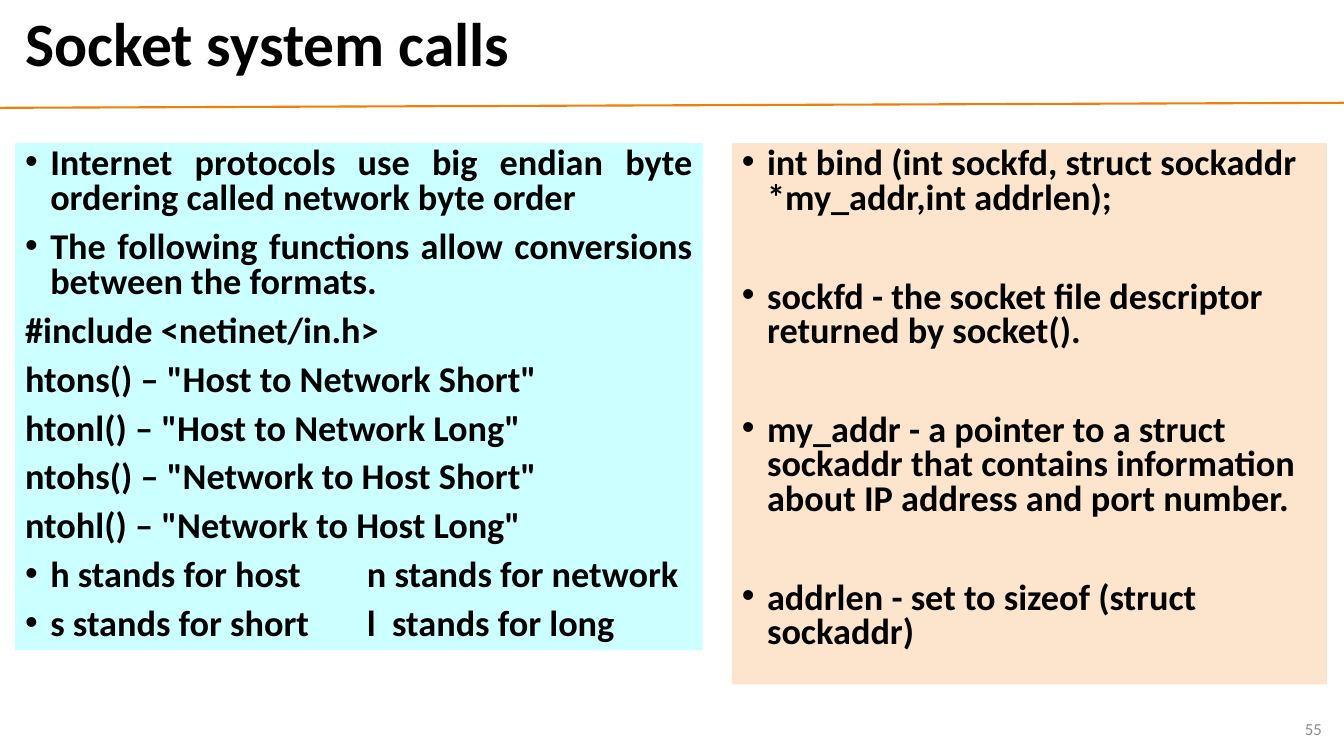
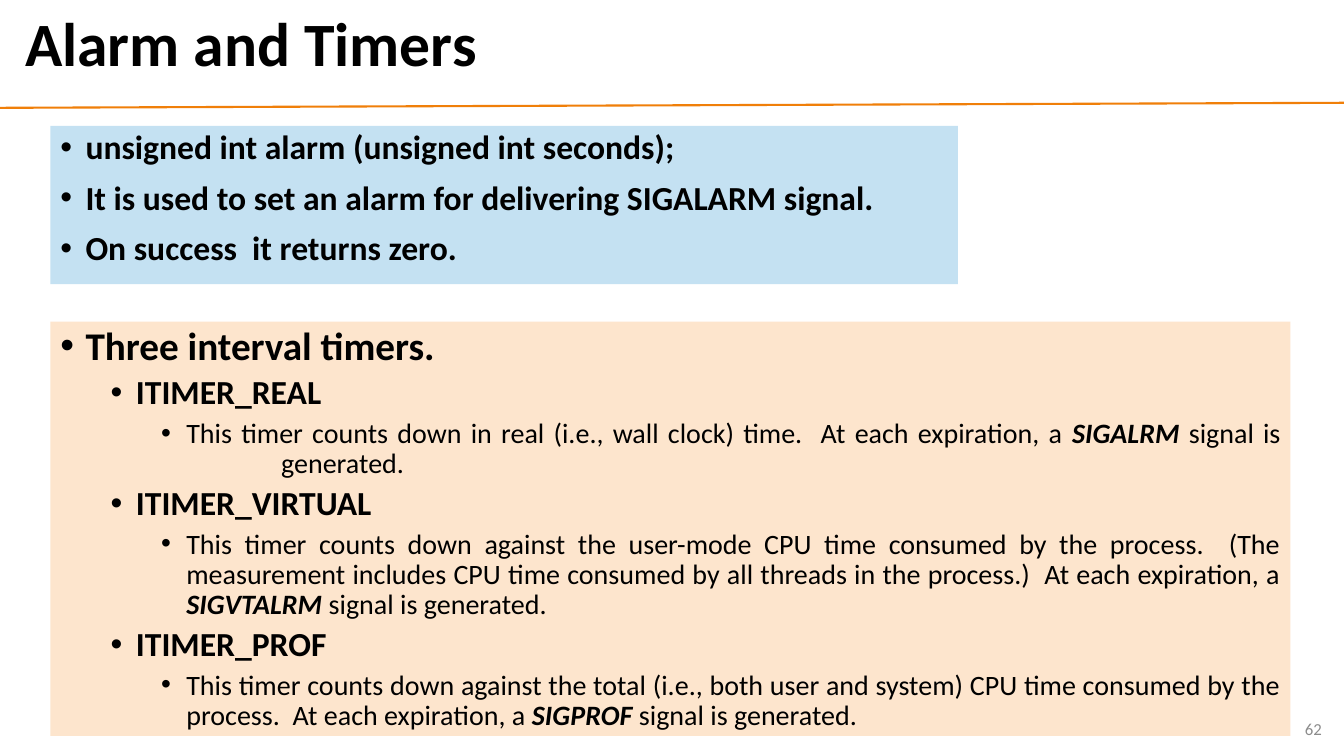
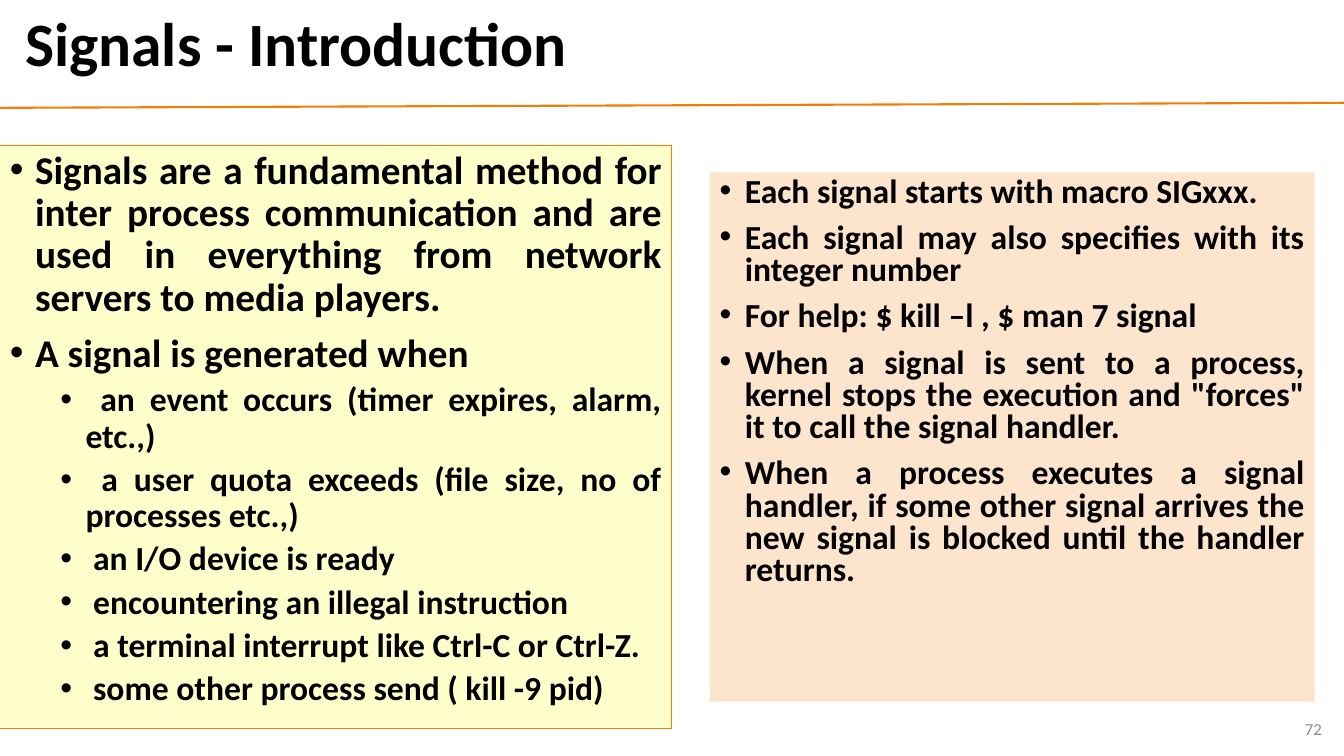
import pptx
import pptx.util
import pptx.dml.color
import pptx.enum.shapes
import pptx.enum.text
import pptx.oxml.xmlchemy

Inches, Pt = pptx.util.Inches, pptx.util.Pt
RGBColor = pptx.dml.color.RGBColor
ALIGN = pptx.enum.text.PP_ALIGN
ANCHOR = pptx.enum.text.MSO_ANCHOR

# Shared look
FONT = "Calibri"
BLACK = RGBColor(0x00, 0x00, 0x00)
GREY = RGBColor(0x8C, 0x8C, 0x8C)
ORANGE = RGBColor(0xF0, 0x7F, 0x09)
CYAN = RGBColor(0xCC, 0xFF, 0xFF)
PEACH = RGBColor(0xFD, 0xE5, 0xCD)
BLUE = RGBColor(0xC4, 0xE1, 0xF2)
YELLOW = RGBColor(0xFF, 0xFF, 0xCC)
LEVEL_SIZES = (28, 24, 20)
LEVEL_SPACE = (10, 5, 5)
PLAIN = "plain"  # top-level line without a bullet

# Content: paragraphs are (level or PLAIN, text); |...| marks bold italic words
SLIDES = [
    {"title": "Socket system calls", "number": 55, "panels": [
        {"at": (0.15, 1.42, 6.82, 5.03), "fill": CYAN, "size": 25.9, "spacing": 0.8,
         "tab": 3.39, "text": [
             (0, "Internet protocols use big endian byte ordering called network byte order"),
             (0, "The following functions allow conversions between the formats."),
             (PLAIN, "#include <netinet/in.h>"),
             (PLAIN, 'htons() – "Host to Network Short"'),
             (PLAIN, 'htonl() – "Host to Network Long"'),
             (PLAIN, 'ntohs() – "Network to Host Short"'),
             (PLAIN, 'ntohl() – "Network to Host Long"'),
             (0, "h stands for host\tn stands for network"),
             (0, "s stands for short\tl  stands for long")]},
        {"at": (7.26, 1.42, 5.9, 5.37), "fill": PEACH, "size": 25.9, "spacing": 0.8,
         "align": ALIGN.LEFT, "gap": 45.3, "text": [
             (0, "int bind (int sockfd, struct sockaddr *my_addr,int addrlen);"),
             (0, "sockfd - the socket file descriptor returned by socket()."),
             (0, "my_addr - a pointer to a struct sockaddr that contains information "
                 "about IP address and port number."),
             (0, "addrlen - set to sizeof (struct sockaddr)")]}]},
    {"title": "Alarm and Timers", "number": 62, "panels": [
        {"at": (0.5, 1.25, 9, 1.57), "fill": BLUE, "size": 24, "text": [
            (0, "unsigned int alarm (unsigned int seconds);"),
            (0, "It is used to set an alarm for delivering SIGALARM signal."),
            (0, "On success  it returns zero.")]},
        {"at": (0.5, 3.19, 12.3, 4.11), "fill": PEACH, "tab": 2.19, "text": [
            (0, "Three interval timers."),
            (1, "ITIMER_REAL"),
            (2, "This timer counts down in real (i.e., wall clock) time.  At each "
                "expiration, a |SIGALRM| signal is\v\tgenerated."),
            (1, "ITIMER_VIRTUAL"),
            (2, "This timer counts down against the user-mode CPU time consumed by the "
                "process.  (The measurement includes CPU time consumed by all threads in "
                "the process.)  At each expiration, a |SIGVTALRM| signal is generated."),
            (1, "ITIMER_PROF"),
            (2, "This timer counts down against the total (i.e., both user and system) "
                "CPU time consumed by the process.  At each expiration, a |SIGPROF |"
                "signal is generated.")]}]},
    {"title": "Signals - Introduction", "number": 72, "panels": [
        {"at": (0, 1.44, 6.66, 5.79), "fill": YELLOW, "line": ORANGE, "text": [
            (0, "Signals are a fundamental method for inter process communication and "
                "are used in everything from network servers to media players."),
            (0, "A signal is generated when"),
            (1, " an event occurs (timer expires, alarm, etc.,)"),
            (1, " a user quota exceeds (file size, no of processes etc.,)"),
            (1, " an I/O device is ready"),
            (1, " encountering an illegal instruction"),
            (1, " a terminal interrupt like Ctrl-C or Ctrl-Z."),
            (1, " some other process send ( kill -9 pid)")]},
        {"at": (7.04, 1.71, 6, 5.25), "fill": PEACH, "size": 24, "spacing": 0.8, "text": [
            (0, "Each signal starts with macro SIGxxx."),
            (0, "Each signal may also specifies with its integer number"),
            (0, "For help: $ kill –l , $ man 7 signal"),
            (0, 'When a signal is sent to a process, kernel stops the execution and '
                '"forces" it to call the signal handler.'),
            (0, "When a process executes a signal handler, if some other signal arrives "
                "the new signal is blocked until the handler returns.")]}]},
]


def place(at):
    return [Inches(v) for v in at]


def style(font, size, color=BLACK, bold=False):
    font.name, font.size, font.bold = FONT, Pt(size), bold
    font.color.rgb = color


def add_xml(parent, tag, **attrs):
    el = pptx.oxml.xmlchemy.OxmlElement(tag)
    for name, value in attrs.items():
        el.set(name, str(value))
    parent.append(el)
    return el


def add_frame(s, title, number):
    """Title, rule under it and page number."""
    line = s.shapes.add_connector(pptx.enum.shapes.MSO_CONNECTOR.STRAIGHT,
                                  *place((0, 1.07, 13.33, 1.02)))
    line.line.color.rgb, line.line.width = ORANGE, Pt(1.5)
    add_xml(line.element.spPr, "a:effectLst")

    sp = s.shapes.title
    sp.left, sp.top, sp.width, sp.height = place((0.15, 0.05, 12.89, 0.83))
    tf = sp.text_frame
    tf.text = title
    tf.auto_size = pptx.enum.text.MSO_AUTO_SIZE.NONE
    tf.vertical_anchor = ANCHOR.MIDDLE
    p = tf.paragraphs[0]
    p.alignment, p.line_spacing = ALIGN.LEFT, 0.9
    style(p.runs[0].font, 44, bold=True)

    tf = s.shapes.add_textbox(*place((10.21, 7.03, 3, 0.4))).text_frame
    tf.word_wrap = True
    tf.vertical_anchor = ANCHOR.MIDDLE
    tf.text = str(number)
    p = tf.paragraphs[0]
    p.alignment = ALIGN.RIGHT
    style(p.runs[0].font, 12, GREY)


def fill_paragraph(p, kind, text, panel, first):
    level = 0 if kind == PLAIN else kind
    p.level = level
    p.alignment = panel.get("align", ALIGN.JUSTIFY)
    p.line_spacing = panel.get("spacing", 0.9)
    p.space_before = Pt(0 if first else panel.get("gap", LEVEL_SPACE[level]))

    # Hanging indent, bullet and tab stop
    pPr = p._p.get_or_add_pPr()
    pPr.set("marL", str(Inches(0.25 + 0.5 * level)))
    pPr.set("indent", str(-Inches(0.25)))
    if kind == PLAIN:
        add_xml(pPr, "a:buNone")
    else:
        add_xml(pPr, "a:buFont", typeface="Arial")
        add_xml(pPr, "a:buChar", char="•")
    if "\t" in text:
        tabs = add_xml(pPr, "a:tabLst")
        add_xml(tabs, "a:tab", pos=Inches(panel["tab"]), algn="l")

    # Runs: every second piece is emphasised, \v breaks the line
    for i, piece in enumerate(text.split("|")):
        for j, part in enumerate(piece.split("\v")):
            if j:
                p.add_line_break()
            r = p.add_run()
            r.text = part
            emphasis = i % 2 == 1
            style(r.font, panel.get("size", LEVEL_SIZES[level]), bold=level < 2 or emphasis)
            r.font.italic = emphasis


def add_panel(s, panel):
    sp = s.shapes.add_shape(pptx.enum.shapes.MSO_SHAPE.RECTANGLE, *place(panel["at"]))
    sp.shadow.inherit = False
    sp.fill.solid()
    sp.fill.fore_color.rgb = panel["fill"]
    if "line" in panel:
        sp.line.color.rgb, sp.line.width = panel["line"], Pt(0.75)
    else:
        sp.line.fill.background()
    tf = sp.text_frame
    tf.word_wrap = True
    tf.vertical_anchor = ANCHOR.TOP
    for i, (kind, text) in enumerate(panel["text"]):
        p = tf.add_paragraph() if i else tf.paragraphs[0]
        fill_paragraph(p, kind, text, panel, first=i == 0)


def main():
    prs = pptx.Presentation()
    prs.slide_width, prs.slide_height = place((13.33, 7.5))
    for content in SLIDES:
        s = prs.slides.add_slide(prs.slide_layouts[5])
        add_frame(s, content["title"], content["number"])
        for panel in content["panels"]:
            add_panel(s, panel)
    prs.save("out.pptx")


if __name__ == "__main__":
    main()
